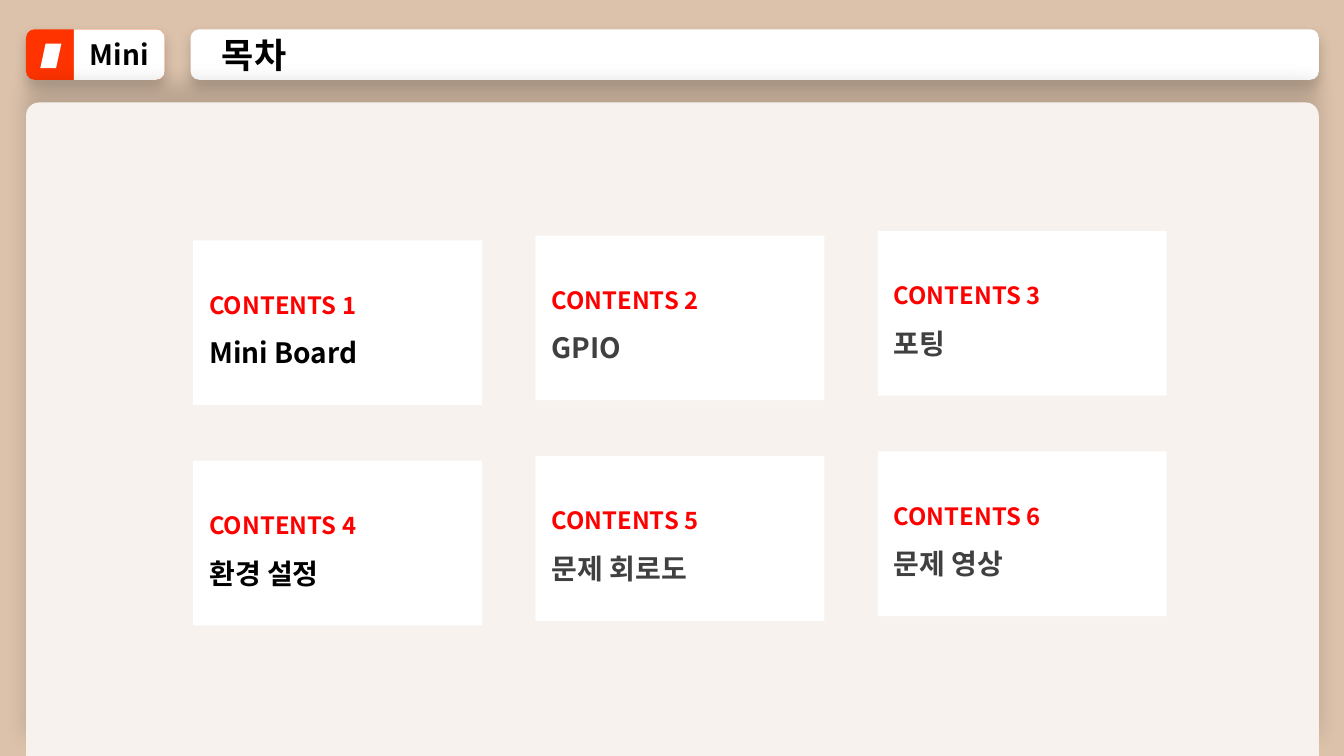
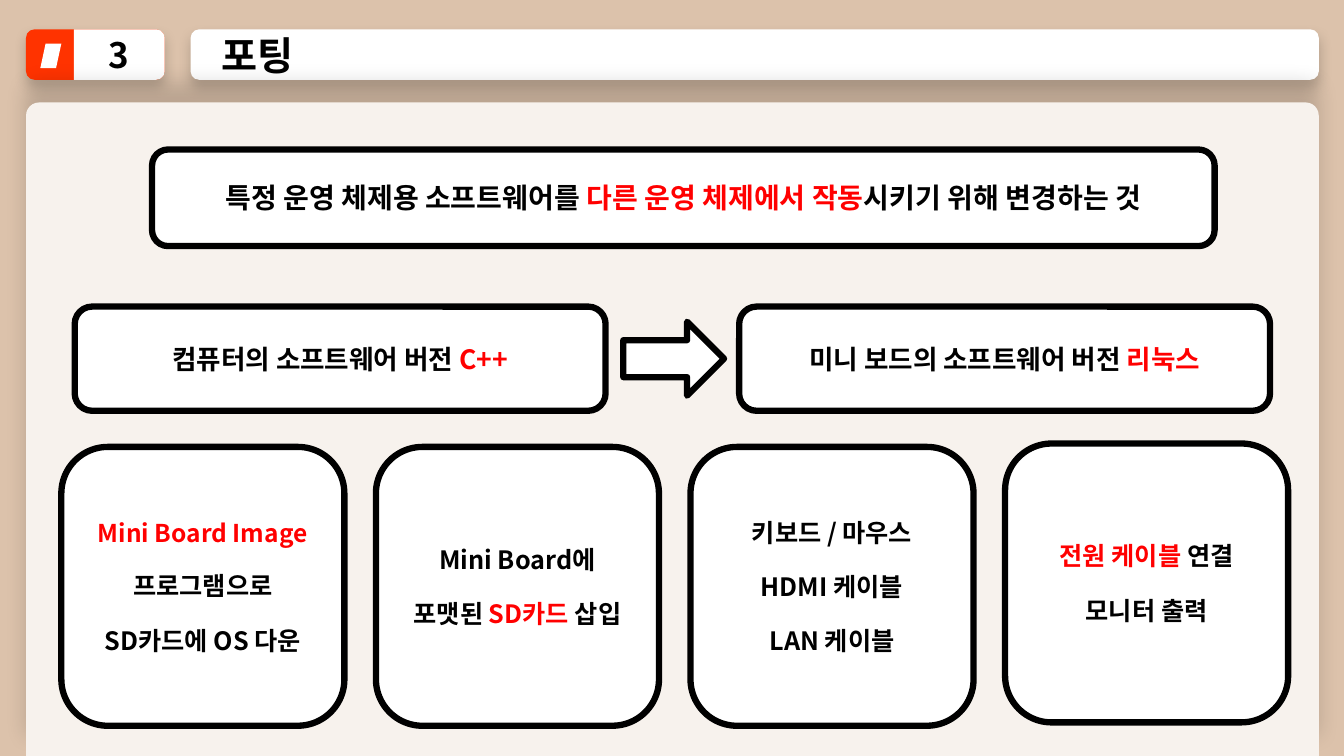
from lxml.etree import SubElement
from pptx import Presentation
from pptx.dml.color import RGBColor
from pptx.enum.shapes import MSO_SHAPE
from pptx.enum.text import MSO_ANCHOR, MSO_AUTO_SIZE, PP_ALIGN
from pptx.oxml.ns import qn
from pptx.util import Inches, Pt

FONT = "Noto Sans CJK KR"
SAND, CREAM, WHITE = "DCC2AB", "F7F2ED", "FFFFFF"
BLACK, GREY, RED, FLAME = "000000", "404040", "FF0000", "FF3300"
COLS, ROWS = 160, 90
BADGE = (8.8, 3.5, 10.8, 6)
BAR = (22.7, 3.5, 134.3, 6)


def hue(code):
    return RGBColor.from_string(code)


class Deck:
    """Holds the style and the current slide; boxes are in grid columns and rows."""

    def __init__(self):
        self.prs = Presentation()
        self.prs.slide_width, self.prs.slide_height = Inches(13.33), Inches(7.5)
        fill = self.prs.slide_master.background.fill
        fill.solid()
        fill.fore_color.rgb = hue(SAND)
        self.base = self.prs.slide_layouts[5]
        for item in list(self.base.placeholders)[1:]:
            item.element.getparent().remove(item.element)
        self.slide = self.prs.slides.add_slide(self.base)
        self.frame()
        self.fresh = True

    def place(self, box):
        wide, high = self.prs.slide_width / COLS, self.prs.slide_height / ROWS
        return [round(n * unit) for n, unit in zip(box, (wide, high) * 2)]

    def shape(self, kind, box, fill=WHITE, edge=None):
        item = self.slide.shapes.add_shape(kind, *self.place(box))
        item.shadow.inherit = False
        item.fill.solid()
        item.fill.fore_color.rgb = hue(fill)
        if edge:
            item.line.color.rgb = hue(BLACK)
            item.line.width = Pt(edge)
        else:
            item.line.fill.background()
        return item

    def shade(self, item, alpha, blur, dist, angle):
        """Adds a soft outer shadow."""
        group = item.element.spPr.find(qn("a:effectLst"))
        outer = SubElement(group, qn("a:outerShdw"), blurRad=str(Pt(blur)),
                           dist=str(Pt(dist)), dir=str(angle * 60000),
                           algn="ctr", rotWithShape="0")
        tint = SubElement(outer, qn("a:srgbClr"), val=BLACK)
        SubElement(tint, qn("a:alpha"), val=str(alpha * 1000))

    def frame(self):
        """Draws the badge, title bar and panel, then moves them to the layout."""
        tag = self.shape(MSO_SHAPE.ROUNDED_RECTANGLE, (3.1, 3.5, 16.5, 6), FLAME)
        left, top, wide, high = BADGE
        mid, row = left + wide / 2, top + high / 2
        side = self.shape(MSO_SHAPE.ROUND_2_SAME_RECTANGLE,
                          (mid - high / 2, row - wide / 2, high, wide))
        side.rotation = 90
        mark = self.shape(MSO_SHAPE.PARALLELOGRAM, (4.8, 5.2, 2.5, 2.9))
        bar = self.shape(MSO_SHAPE.ROUNDED_RECTANGLE, BAR)
        panel = self.shape(MSO_SHAPE.ROUND_2_SAME_RECTANGLE,
                           (3.1, 12.2, 153.9, 77.8), CREAM)
        panel.adjustments[0] = 0.02
        for item in (tag, bar):
            self.shade(item, 19, 9, 5, 90)
        self.shade(panel, 14, 14, 14, 270)
        for item in (tag, side, mark, bar, panel):
            self.base.shapes.element.append(item.element)

    def fill(self, item, lines, size, align=PP_ALIGN.CENTER, gap=0, lead=None):
        """Puts text in a shape; each line is a list of (text, colour[, size]) runs."""
        body = item.text_frame
        body.word_wrap = True
        body.auto_size = MSO_AUTO_SIZE.NONE
        body.vertical_anchor = MSO_ANCHOR.MIDDLE
        for n, line in enumerate(lines):
            para = body.add_paragraph() if n else body.paragraphs[0]
            para.alignment = align
            para.line_spacing = lead
            if n and gap:
                para.space_before = Pt(gap)
            for text, code, *own in line:
                run = para.add_run()
                run.text = text
                font = run.font
                font.name, font.bold = FONT, True
                font.size = Pt(own[0] if own else size)
                font.color.rgb = hue(code)
                SubElement(font._element, qn("a:ea"), typeface=FONT)
        return body

    def page(self, tag, tag_size, title, size):
        if not self.fresh:
            self.slide = self.prs.slides.add_slide(self.base)
        self.fresh = False
        head = self.slide.shapes.title
        head.left, head.top, head.width, head.height = self.place(BAR)
        body = self.fill(head, [[(title, BLACK)]], size, PP_ALIGN.LEFT)
        body.margin_left = Inches(0.31)
        body.margin_top = body.margin_bottom = 0
        label = self.slide.shapes.add_textbox(*self.place(BADGE))
        body = self.fill(label, [[(tag, BLACK)]], tag_size)
        body.margin_top = body.margin_bottom = 0

    def card(self, box, label, name, code):
        item = self.shape(MSO_SHAPE.RECTANGLE, box)
        lines = [[(label, RED, 17)], [(name, code)]]
        body = self.fill(item, lines, 20, PP_ALIGN.LEFT, lead=1.5)
        body.margin_left = Inches(0.16)

    def panel(self, box, lines, size):
        item = self.shape(MSO_SHAPE.ROUNDED_RECTANGLE, box, edge=4.5)
        self.fill(item, lines, size, gap=17)

    def arrow(self, box):
        self.shape(MSO_SHAPE.RIGHT_ARROW, box, edge=4.5)


def contents(deck):
    deck.page("Mini", 20, "목차", 25)
    names = ["Mini Board", "GPIO", "포팅", "환경 설정", "문제 회로도", "문제 영상"]
    for n, name in enumerate(names):
        row, col = divmod(n, 3)
        box = (23 + 40.75 * col, 28.6 + 26.25 * row - 0.55 * col, 34.4, 19.6)
        deck.card(box, f"CONTENTS {n + 1}", name, GREY if col else BLACK)


def porting(deck):
    deck.page("3", 25, "포팅", 28)
    deck.panel((18.1, 17.8, 126.5, 11.5), [[
        ("특정 운영 체제용 소프트웨어를 ", BLACK),
        ("다른 운영 체제에서 작동", RED),
        ("시키기 위해 변경하는 것", BLACK)]], 20)
    sides = [("컴퓨터의 소프트웨어 버전 ", "C++"),
             ("미니 보드의 소프트웨어 버전 ", "리눅스")]
    for n, (text, key) in enumerate(sides):
        deck.panel((8.9 + 79.1 * n, 36.5, 63.2, 12.4),
                   [[(text, BLACK), (key, RED)]], 19)
    deck.arrow((74.2, 38.3, 12, 8.8))
    steps = [
        [[("Mini Board Image", RED, 17.5)], [("프로그램으로", BLACK)],
         [("SD카드에 OS 다운", BLACK)]],
        [[("Mini Board에", BLACK)],
         [("포맷된 ", BLACK), ("SD카드 ", RED), ("삽입", BLACK)]],
        [[("키보드 / 마우스", BLACK)], [("HDMI 케이블", BLACK)],
         [("LAN 케이블", BLACK)]],
        [[("전원 케이블", RED), (" 연결", BLACK)], [("모니터 출력", BLACK)]],
    ]
    tops = (53.2, 53.2, 53.2, 52.8)
    for n, (top, lines) in enumerate(zip(tops, steps)):
        deck.panel((7.3 + 37.45 * n, top, 33.7, 33.2), lines, 18)


def main():
    deck = Deck()
    contents(deck)
    porting(deck)
    deck.prs.save("out.pptx")


if __name__ == "__main__":
    main()
